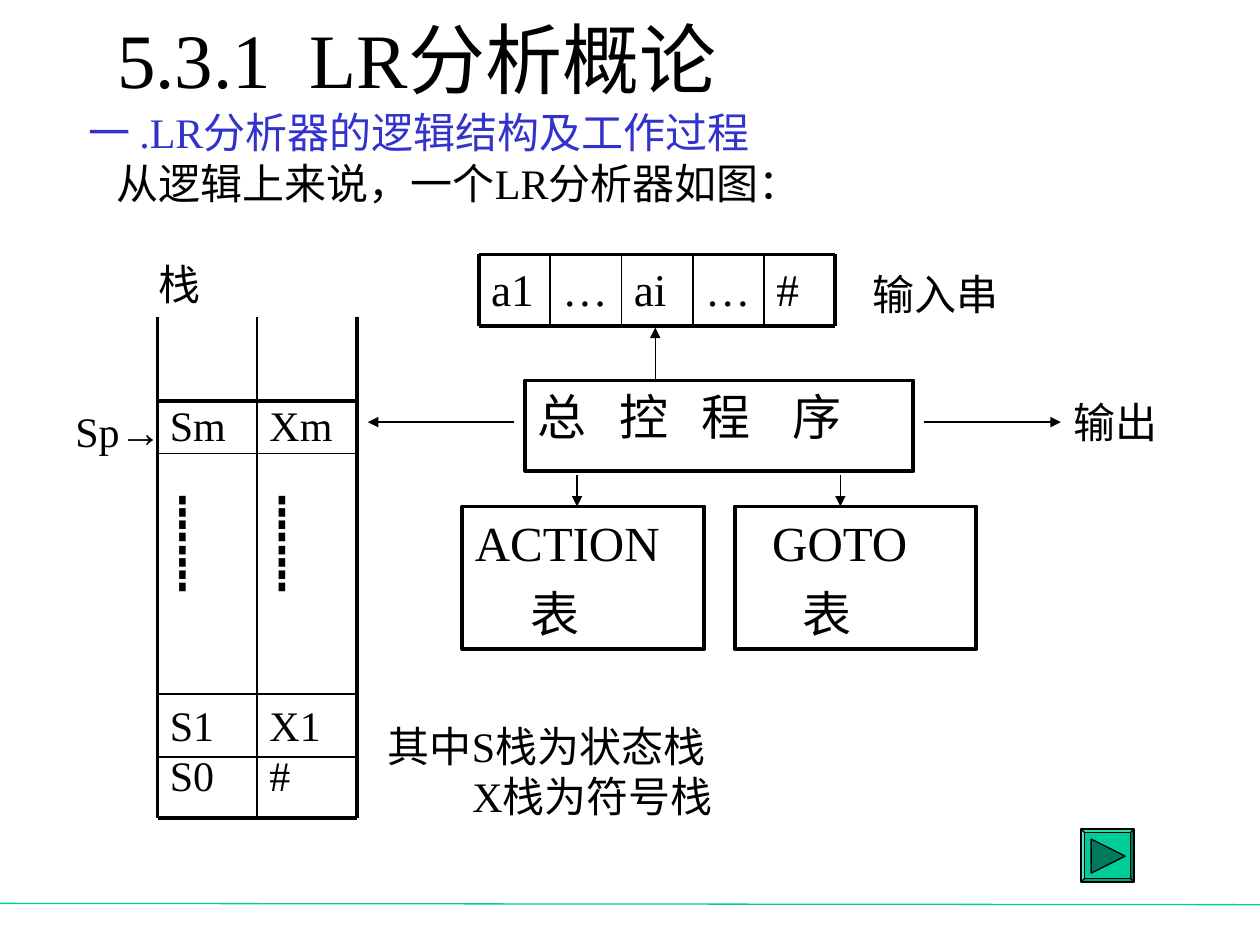
from lxml.etree import SubElement
from pptx import Presentation
from pptx.dml.color import RGBColor
from pptx.enum.shapes import MSO_CONNECTOR, MSO_SHAPE
from pptx.enum.text import MSO_ANCHOR, MSO_AUTO_SIZE, PP_ALIGN
from pptx.oxml.ns import qn
from pptx.util import Inches, Pt

BLACK = RGBColor(0x00, 0x00, 0x00)
BLUE = RGBColor(0x33, 0x33, 0xCC)
GREEN = RGBColor(0x00, 0xCC, 0x99)
DARK_GREEN = RGBColor(0x00, 0x7A, 0x5C)
FONT = "Times New Roman"
THICK, THIN, HAIR = 2.25, 1, 0.75

TITLE = "5.3.1  LR分析概论"
INTRO = [("一 .LR分析器的逻辑结构及工作过程", BLUE, 0),
         ("从逻辑上来说，一个LR分析器如图：", BLACK, 0.23)]
STACK_NOTE = [("其中S栈为状态栈", BLACK, 0), ("X栈为符号栈", BLACK, 0.67)]
LABELS = [
    ((0.6, 0.8, 7.72, 0.9), INTRO),
    ((1.16, 2, 0.6, 0.5), [("栈", BLACK, 0)]),
    ((6.83, 2.08, 1.3, 0.5), [("输入串", BLACK, 0)]),
    ((0.5, 3.17, 1, 0.5), [("Sp→", BLACK, 0)]),
    ((8.42, 3.1, 1, 0.5), [("输出", BLACK, 0)]),
    ((2.98, 5.67, 3, 0.9), STACK_NOTE),
]

TAPE = ["a1", "…", "ai", "…", "#"]
TAPE_LEFT, TAPE_TOP, TAPE_RIGHT, TAPE_BOTTOM = 3.8, 2.02, 6.63, 2.59

STACK_COLUMNS = [["Sm", "┋", "┋", "S1", "S0"], ["Xm", "┋", "┋", "X1", "#"]]
STACK_BLOCKS = [(3.12, 0.5, 0, 1), (3.85, 0.99, 1, 3), (5.5, 0.99, 3, 5)]
STACK_RULES = [(3.18, THICK), (3.6, THIN), (5.51, THIN), (6.01, THIN), (6.49, THICK)]
STACK_LEFT, STACK_TOP, STACK_BOTTOM, COLUMN_WIDTH = 1.25, 2.52, 6.49, 0.79

CONTROL_STOPS = [0.65, 1.3, 2.02]
MODULES = [
    ((4.17, 3.02, 3.08, 0.72), [("总\t控\t程\t序", BLACK, 0)], CONTROL_STOPS),
    ((3.67, 4.02, 1.92, 1.13), [("ACTION", BLACK, 0), ("表", BLACK, 0.44)], []),
    ((5.83, 4.02, 1.92, 1.13), [("GOTO", BLACK, 0.2), ("表", BLACK, 0.44)], []),
]
ARROWS = [
    ((5.2, 3.02), (5.2, 2.6)),
    ((4.08, 3.35), (2.92, 3.35)),
    ((7.33, 3.35), (8.42, 3.35)),
    ((4.58, 3.77), (4.58, 4.02)),
    ((6.67, 3.77), (6.67, 4.02)),
]


def add_text(slide, place, lines, size, wrap=True, stops=(), gap=0):
    box = slide.shapes.add_textbox(*map(Inches, place))
    frame = box.text_frame
    frame.word_wrap = wrap
    for number, (words, color, indent) in enumerate(lines):
        paragraph = frame.add_paragraph() if number else frame.paragraphs[0]
        if number:
            paragraph.space_before = Pt(gap)
        properties = paragraph._p.get_or_add_pPr()
        properties.set("marL", str(Inches(indent)))
        if stops:
            tab_list = SubElement(properties, qn("a:tabLst"))
            for stop in stops:
                SubElement(tab_list, qn("a:tab"), pos=str(Inches(stop)), algn="l")
        style_run(paragraph.add_run(), words, size, color)
    return box


def style_run(run, words, size, color):
    run.text = words
    run.font.name = FONT
    run.font.size = Pt(size)
    run.font.color.rgb = color


def add_line(slide, start, end, weight, color=BLACK, arrow=False):
    line = slide.shapes.add_connector(
        MSO_CONNECTOR.STRAIGHT, *map(Inches, (*start, *end)))
    line.line.color.rgb = color
    line.line.width = Pt(weight)
    if arrow:
        SubElement(line.line._get_or_add_ln(), qn("a:tailEnd"), type="triangle")
    SubElement(line._element.spPr, qn("a:effectLst"))


def add_solid(slide, preset, place, fill):
    solid = slide.shapes.add_shape(preset, *map(Inches, place))
    solid.shadow.inherit = False
    solid.fill.solid()
    solid.fill.fore_color.rgb = fill
    solid.line.color.rgb = BLACK
    solid.line.width = Pt(HAIR)
    return solid


def add_title(slide):
    title = slide.shapes.title
    title.left, title.top, title.width, title.height = map(
        Inches, (0.83, 0.04, 8.5, 0.83))
    frame = title.text_frame
    frame.auto_size = MSO_AUTO_SIZE.NONE
    frame.vertical_anchor = MSO_ANCHOR.MIDDLE
    frame.paragraphs[0].alignment = PP_ALIGN.LEFT
    style_run(frame.paragraphs[0].add_run(), TITLE, 44, BLACK)


def add_tape(slide):
    step = (TAPE_RIGHT - TAPE_LEFT) / len(TAPE)
    height = TAPE_BOTTOM - TAPE_TOP
    for column, symbol in enumerate(TAPE):
        place = (TAPE_LEFT + column * step, TAPE_TOP, step, height)
        add_text(slide, place, [(symbol, BLACK, 0)], 25.9)
    for y in (TAPE_TOP, TAPE_BOTTOM):
        add_line(slide, (TAPE_LEFT, y), (TAPE_RIGHT, y), THICK)
    for edge in range(len(TAPE) + 1):
        x = TAPE_LEFT + edge * step
        weight = THICK if edge in (0, len(TAPE)) else THIN
        add_line(slide, (x, TAPE_TOP), (x, TAPE_BOTTOM), weight)


def add_stack(slide):
    for column, symbols in enumerate(STACK_COLUMNS):
        x = STACK_LEFT + column * COLUMN_WIDTH
        for y, height, first, last in STACK_BLOCKS:
            lines = [(symbol, BLACK, 0) for symbol in symbols[first:last]]
            add_text(slide, (x, y, COLUMN_WIDTH, height), lines, 24)
    right = STACK_LEFT + len(STACK_COLUMNS) * COLUMN_WIDTH
    for y, weight in STACK_RULES:
        add_line(slide, (STACK_LEFT, y), (right, y), weight)
    for edge, weight in enumerate((THICK, THIN, THICK)):
        x = STACK_LEFT + edge * COLUMN_WIDTH
        add_line(slide, (x, STACK_TOP), (x, STACK_BOTTOM), weight)


def main():
    deck = Presentation()
    deck.slide_width, deck.slide_height = Inches(10), Inches(7.5)
    slide = deck.slides.add_slide(deck.slide_layouts[5])
    add_line(slide, (0, 7.17), (10, 7.18), HAIR, GREEN)
    add_title(slide)
    for place, lines in LABELS:
        add_text(slide, place, lines, 24, wrap=False)
    add_tape(slide)
    add_stack(slide)
    for place, lines, stops in MODULES:
        module = add_text(slide, place, lines, 28, stops=stops, gap=7)
        module.line.color.rgb = BLACK
        module.line.width = Pt(THICK)
    for start, end in ARROWS:
        add_line(slide, start, end, HAIR, arrow=True)
    button = add_solid(slide, MSO_SHAPE.BEVEL, (8.58, 6.58, 0.42, 0.42), GREEN)
    button.adjustments[0] = 0.07
    next_mark = add_solid(
        slide, MSO_SHAPE.ISOSCELES_TRIANGLE, (8.66, 6.66, 0.27, 0.27), DARK_GREEN)
    next_mark.rotation = 90
    deck.save("out.pptx")


if __name__ == "__main__":
    main()
